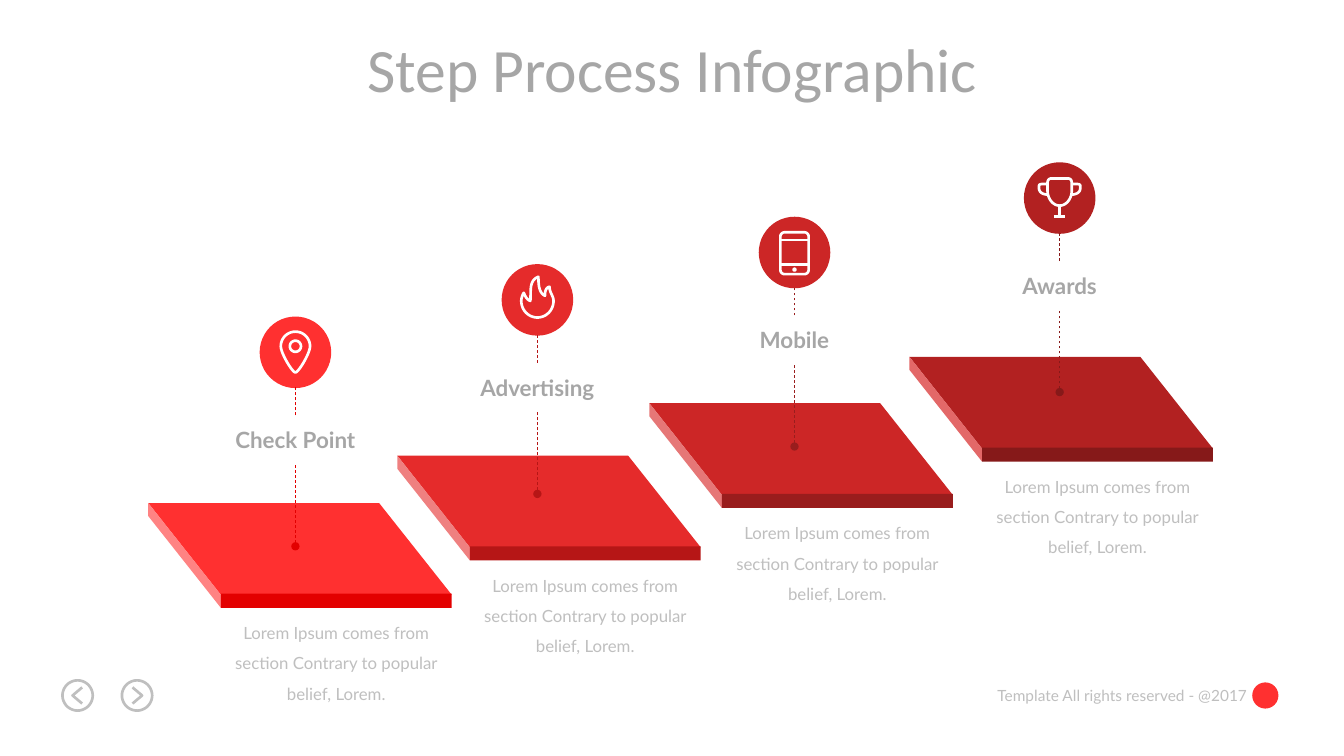
"""Build the Step Process Infographic slide."""
import dataclasses
import typing

import lxml.etree
import pptx
import pptx.dml.color
import pptx.enum.dml
import pptx.enum.shapes
import pptx.enum.text
import pptx.oxml.ns
import pptx.shapes.autoshape
import pptx.shapes.base
import pptx.slide
import pptx.text.text
import pptx.util

Inches = pptx.util.Inches
Pt = pptx.util.Pt
RGBColor = pptx.dml.color.RGBColor
Shape = pptx.enum.shapes.MSO_SHAPE
Align = pptx.enum.text.PP_ALIGN
Point = tuple[float, float]
Stroke = list[tuple[float, ...]]

WHITE = RGBColor(0xFF, 0xFF, 0xFF)
GREY = RGBColor(0xA6, 0xA6, 0xA6)
LIGHT_GREY = RGBColor(0xBF, 0xBF, 0xBF)
RED = RGBColor(0xFF, 0x30, 0x30)

TITLE = {"name": "Calibri", "size": Pt(44), "bold": False}
LABEL = {"name": "Lato", "size": Pt(16), "bold": True}
BODY = {"name": "Lato", "size": Pt(12), "bold": False}
FOOTER = {"name": "Lato", "size": Pt(11), "bold": False}
LOREM = "Lorem Ipsum comes from section Contrary to popular belief, Lorem."

DISC = 0.71
DEPTH = 0.13
PLATE_WIDTH, PLATE_HEIGHT, SKEW = 2.29, 0.91, 0.72


def ring(x: float, y: float, r: float) -> Stroke:
    """Return a circle as four cubic curves."""
    k = 0.55 * r
    return [(x, y - r),
            (x + k, y - r, x + r, y - k, x + r, y),
            (x + r, y + k, x + k, y + r, x, y + r),
            (x - k, y + r, x - r, y + k, x - r, y),
            (x - r, y - k, x - k, y - r, x, y - r)]


PIN = [[(0, -20.5), (8, -20.5, 14.5, -14, 14.5, -6), (14.5, 1, 3, 20, 0, 20),
        (-3, 20, -14.5, 1, -14.5, -6), (-14.5, -14, -8, -20.5, 0, -20.5)],
       ring(0, -6, 5.5)]
FLAME = [[(0, 17.5), (9, 17.5, 16, 10, 16, 1), (16, -4, 12, -7, 12, -13),
          (8, -12, 7.5, -8, 7.5, -4), (2, -7, 1, -13, 1, -23),
          (-9, -19, -6, -8, -7, 1), (-11, 0, -13, -6, -13.5, -7),
          (-15, -5, -16, -1, -16, 1), (-16, 10, -9, 17.5, 0, 17.5)]]
PHONE = [[(-14, -16), (-14, -18, -12, -20, -10, -20), (10, -20),
          (12, -20, 14, -18, 14, -16), (14, 17.5),
          (14, 19.5, 12, 21.5, 10, 21.5), (-10, 21.5),
          (-12, 21.5, -14, 19.5, -14, 17.5), (-14, -16)],
         [(-14, -12.5), (14, -12.5)], [(-14, 12), (14, 12)], ring(0, 17, 0.8)]
TROPHY = [[(-12, -15), (-12, -18, -10.5, -19.5, -8, -19.5), (8, -19.5),
           (10.5, -19.5, 12, -18, 12, -15), (12, -7),
           (12, 0, 7, 7.5, 0, 7.5), (-7, 7.5, -12, 0, -12, -7), (-12, -15)],
          [(12, -14), (21, -14, 20.5, -14, 20.5, -10),
           (20.5, -6, 17, -3.5, 12, -3.5)],
          [(-12, -14), (-21, -14, -20.5, -14, -20.5, -10),
           (-20.5, -6, -17, -3.5, -12, -3.5)],
          [(0, 7.5), (0, 18.5)], [(-5.5, 18.5), (5.5, 18.5)]]
BACK = [ring(0, 0, 15), [(4.5, -8), (-5, 0), (4.5, 8)]]
FORWARD = [ring(0, 0, 15), [(-4.5, -8), (5, 0), (-4.5, 8)]]


@dataclasses.dataclass
class Step:
    """One stair with its pin, label and icon."""
    label: str
    x: float
    y: float
    pin: Point
    top: RGBColor
    side: RGBColor
    front: RGBColor
    icon: list[Stroke]


STEPS = [
    Step("Check Point", 1.47, 4.99, (2.93, 5.42), RED,
         RGBColor(0xFF, 0x83, 0x83), RGBColor(0xE3, 0x00, 0x00), PIN),
    Step("Advertising", 3.94, 4.52, (5.33, 4.9), RGBColor(0xE5, 0x2B, 0x2B),
         RGBColor(0xEF, 0x80, 0x80), RGBColor(0xB6, 0x16, 0x16), FLAME),
    Step("Mobile", 6.44, 4, (7.88, 4.43), RGBColor(0xCC, 0x26, 0x26),
         RGBColor(0xE6, 0x77, 0x77), RGBColor(0x99, 0x1D, 0x1D), PHONE),
    Step("Awards", 9.02, 3.54, (10.51, 3.89), RGBColor(0xB2, 0x21, 0x21),
         RGBColor(0xE3, 0x68, 0x68), RGBColor(0x86, 0x19, 0x19), TROPHY),
]


def paint(sp: pptx.shapes.autoshape.Shape, color: RGBColor) -> None:
    """Give a shape a flat fill without line or shadow."""
    sp.shadow.inherit = False
    sp.fill.solid()
    sp.fill.fore_color.rgb = color
    sp.line.fill.background()


def add_preset(s: pptx.slide.Slide, kind: Shape, x: float, y: float,
               w: float, h: float, color: RGBColor) -> None:
    """Draw a flat preset shape."""
    paint(s.shapes.add_shape(kind, Inches(x), Inches(y), Inches(w), Inches(h)), color)


def add_polygon(s: pptx.slide.Slide, points: list[Point], color: RGBColor) -> None:
    """Draw a flat closed polygon."""
    first, *rest = [(Inches(x), Inches(y)) for x, y in points]
    fb = s.shapes.build_freeform(*first)
    fb.add_line_segments(rest, close=True)
    paint(fb.convert_to_shape(), color)


def flatten(stroke: Stroke, center: Point) -> list[Point]:
    """Turn lines and cubic curves in hundredths of an inch into points."""
    points = [stroke[0]]
    for seg in stroke[1:]:
        if len(seg) == 2:
            points.append(seg)
            continue
        start = points[-1]
        for t in (i / 12 for i in range(1, 13)):
            u = 1 - t
            points.append(tuple(
                u ** 3 * start[i] + 3 * u * u * t * seg[i]
                + 3 * u * t * t * seg[i + 2] + t ** 3 * seg[i + 4] for i in (0, 1)))
    return [(Inches(center[0] + x / 100), Inches(center[1] + y / 100)) for x, y in points]


def add_icon(s: pptx.slide.Slide, strokes: list[Stroke], center: Point,
             color: RGBColor) -> None:
    """Draw an outline icon around a centre."""
    paths = [flatten(stroke, center) for stroke in strokes]
    fb = s.shapes.build_freeform(*paths[0][0])
    for i, points in enumerate(paths):
        if i:
            fb.move_to(*points[0])
        fb.add_line_segments(points[1:], close=False)
    sp = fb.convert_to_shape()
    sp.shadow.inherit = False
    sp.fill.background()
    sp.line.color.rgb = color
    sp.line.width = Pt(1.9)


def add_dash(s: pptx.slide.Slide, x: float, y1: float, y2: float,
             color: RGBColor, dot: bool) -> None:
    """Draw a vertical dashed line, with a dot at its start if asked."""
    sp = s.shapes.add_connector(pptx.enum.shapes.MSO_CONNECTOR.STRAIGHT,
                                Inches(x), Inches(y1), Inches(x), Inches(y2))
    formats = {"width": Pt(0.5), "dash_style": pptx.enum.dml.MSO_LINE.DASH}
    for name, value in formats.items():
        setattr(sp.line, name, value)
    sp.line.color.rgb = color
    qn = pptx.oxml.ns.qn
    if dot:
        lxml.etree.SubElement(sp.line._get_or_add_ln(), qn("a:headEnd"), type="oval")
    lxml.etree.SubElement(sp._element.spPr, qn("a:effectLst"))


def write(sp: pptx.shapes.base.BaseShape, text: str, font: dict[str, typing.Any],
          color: RGBColor, align: Align = Align.CENTER, wrap: bool = False,
          spacing: float = 1.0) -> None:
    """Fill a shape with one formatted paragraph."""
    tf = sp.text_frame
    tf.word_wrap = wrap
    tf.auto_size = pptx.enum.text.MSO_AUTO_SIZE.NONE
    tf.vertical_anchor = pptx.enum.text.MSO_ANCHOR.TOP
    p = tf.paragraphs[0]
    p.alignment, p.line_spacing = align, spacing
    r = p.add_run()
    r.text = text
    for name, value in font.items():
        setattr(r.font, name, value)
    r.font.color.rgb = color


def add_box(s: pptx.slide.Slide, x: float, y: float, w: float,
            h: float) -> pptx.shapes.autoshape.Shape:
    """Add an empty text box."""
    return s.shapes.add_textbox(Inches(x), Inches(y), Inches(w), Inches(h))


def add_step(s: pptx.slide.Slide, step: Step) -> None:
    """Draw one stair with everything above and below it."""
    x, y, corner, bottom = step.x, step.y, step.x + SKEW, step.y + PLATE_HEIGHT
    add_polygon(s, [(corner, bottom), (corner + PLATE_WIDTH, bottom),
                    (x + PLATE_WIDTH, y), (x, y)], step.top)
    add_polygon(s, [(x, y), (x, y + DEPTH), (corner, bottom + DEPTH),
                    (corner, bottom)], step.side)
    add_preset(s, Shape.RECTANGLE, corner, bottom - 0.01, PLATE_WIDTH, 0.14, step.front)
    cx, cy = step.pin
    disc_top = cy - 2.28
    add_preset(s, Shape.OVAL, cx - DISC / 2, disc_top, DISC, DISC, step.top)
    add_dash(s, cx, cy, cy - 0.82, step.front, True)
    add_dash(s, cx, cy - 1.3, cy - 1.58, step.front, False)
    add_icon(s, step.icon, (cx, disc_top + DISC / 2), WHITE)
    write(add_box(s, cx - 0.75, cy - 1.24, 1.5, 0.37), step.label, LABEL, GREY)
    write(add_box(s, corner, y + 1.04, PLATE_WIDTH, 1.01), LOREM, BODY, LIGHT_GREY,
          wrap=True, spacing=1.5)


def main() -> None:
    """Build and save the slide."""
    prs = pptx.Presentation()
    prs.slide_width, prs.slide_height = Inches(13.33), Inches(7.5)
    s = prs.slides.add_slide(prs.slide_layouts[5])
    title = s.shapes.title
    frame = {"left": 3, "top": 0.26, "width": 7.34, "height": 0.84}
    for name, value in frame.items():
        setattr(title, name, Inches(value))
    write(title, "Step Process Infographic", TITLE, GREY)
    write(add_box(s, 9.74, 6.76, 2.73, 0.29), "Template All rights reserved - @2017",
          FOOTER, LIGHT_GREY, align=Align.RIGHT)
    add_icon(s, BACK, (0.77, 6.9), LIGHT_GREY)
    add_icon(s, FORWARD, (1.36, 6.9), LIGHT_GREY)
    add_preset(s, Shape.OVAL, 12.42, 6.77, 0.26, 0.26, RED)
    for step in STEPS:
        add_step(s, step)
    prs.save("out.pptx")


if __name__ == "__main__":
    main()
